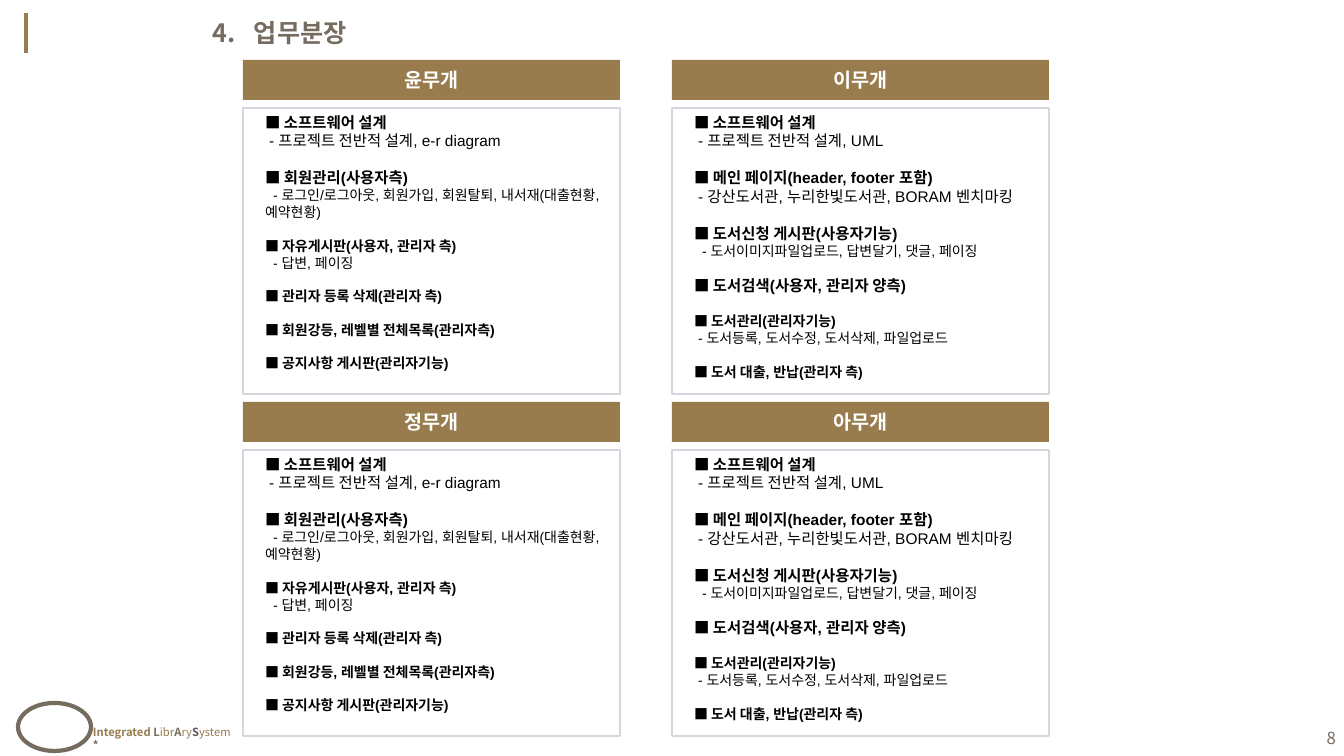
from dataclasses import dataclass

from lxml import etree
from pptx import Presentation
from pptx.dml.color import RGBColor
from pptx.enum.shapes import MSO_CONNECTOR, MSO_SHAPE
from pptx.enum.text import MSO_ANCHOR, MSO_AUTO_SIZE, PP_ALIGN
from pptx.oxml.ns import qn
from pptx.util import Emu, Pt

RECT, OVAL, STRAIGHT = MSO_SHAPE.RECTANGLE, MSO_SHAPE.OVAL, MSO_CONNECTOR.STRAIGHT
TOP, MIDDLE = MSO_ANCHOR.TOP, MSO_ANCHOR.MIDDLE
LEFT, CENTER, RIGHT = PP_ALIGN.LEFT, PP_ALIGN.CENTER, PP_ALIGN.RIGHT

TITLE = "4.\t업무분장"
PAGE = "8"

# Each group: heading, heading size, detail, detail size, detail first-line indent in px
MEMBER_TASKS = [
    ("■ 소프트웨어 설계", 11, "- 프로젝트 전반적 설계, e-r diagram", 11, 4),
    ("■ 회원관리(사용자측)", 11,
     "- 로그인/로그아웃, 회원가입, 회원탈퇴, 내서재(대출현황, 예약현황)", 10, 8),
    ("■ 자유게시판(사용자, 관리자 측)", 10, "- 답변, 페이징", 10, 8),
    ("■ 관리자 등록 삭제(관리자 측)", 10, None, 10, 0),
    ("■ 회원강등, 레벨별 전체목록(관리자측)", 10, None, 10, 0),
    ("■ 공지사항 게시판(관리자기능)", 10, None, 10, 0),
]
BOOK_TASKS = [
    ("■ 소프트웨어 설계", 11, "- 프로젝트 전반적 설계, UML", 11, 4),
    ("■ 메인 페이지(header, footer 포함)", 11,
     "- 강산도서관, 누리한빛도서관, BORAM 벤치마킹", 11, 4),
    ("■ 도서신청 게시판(사용자기능)", 11,
     "- 도서이미지파일업로드, 답변달기, 댓글, 페이징", 10, 8),
    ("■ 도서검색(사용자, 관리자 양측)", 11, None, 11, 0),
    ("■ 도서관리(관리자기능)", 10, "- 도서등록, 도서수정, 도서삭제, 파일업로드", 10, 4),
    ("■ 도서 대출, 반납(관리자 측)", 10, None, 10, 0),
]
CARDS = [("윤무개", MEMBER_TASKS), ("이무개", BOOK_TASKS),
         ("정무개", MEMBER_TASKS), ("아무개", BOOK_TASKS)]


@dataclass(frozen=True)
class Theme:
    gold: str = "987C4D"
    taupe: str = "756B5F"
    plum: str = "5F5556"
    border: str = "D6D7DE"
    white: str = "FFFFFF"
    black: str = "000000"
    korean: str = "Noto Sans CJK KR"
    latin: str = "Arial"
    title: int = 18
    name: int = 14
    page: int = 12
    footer: int = 8
    leading: float = 1.2


T = Theme()
FOOTER = [("Integrated ", T.gold, True), ("L", T.taupe, True), ("ibr", T.gold, False),
          ("A", T.taupe, True), ("ry", T.gold, False), ("S", T.plum, True),
          ("ystem ", T.gold, False), ("*", T.taupe, True)]

CARD_X, CARD_Y, CARD_W = 243, 60, 377
PITCH_X, PITCH_Y = 429, 342
NAME_H, TASKS_DY, TASKS_H = 40, 48, 286
TEXT_DX = 12
TITLE_TAB = 41


def px(n):
    return Emu(round(n * 914400 / 100.8))


def rgb(color):
    return RGBColor.from_string(color)


def place(sp, x, y, w, h):
    sp.left, sp.top, sp.width, sp.height = (px(n) for n in (x, y, w, h))


def prepare(sp, anchor=TOP):
    tf = sp.text_frame
    values = {"word_wrap": True, "auto_size": MSO_AUTO_SIZE.NONE, "vertical_anchor": anchor,
              "margin_left": px(10), "margin_right": px(10),
              "margin_top": px(5), "margin_bottom": px(5)}
    for key, value in values.items():
        setattr(tf, key, value)
    return tf


def add_run(p, text, size, color, bold=False, font=T.korean):
    r = p.add_run()
    r.text = text
    for key, value in {"name": font, "size": Pt(size), "bold": bold}.items():
        setattr(r.font, key, value)
    r.font.color.rgb = rgb(color)
    etree.SubElement(r._r.get_or_add_rPr(), qn("a:ea"), typeface=T.korean)


def set_indent(p, margin, first):
    """Set the left margin and first-line indent, and turn the inherited bullet off."""
    pPr = p._p.get_or_add_pPr()
    pPr.set("marL", str(px(margin)))
    pPr.set("indent", str(px(first)))
    etree.SubElement(pPr, qn("a:buNone"))


def add_shape(slide, kind, box, fill=None, line=None, weight=0):
    sp = slide.shapes.add_shape(kind, *(px(n) for n in box))
    sp.shadow.inherit = False
    if fill:
        sp.fill.solid()
        sp.fill.fore_color.rgb = rgb(fill)
    else:
        sp.fill.background()
    if line:
        sp.line.color.rgb = rgb(line)
        sp.line.width = Pt(weight)
    else:
        sp.line.fill.background()
    return sp


def write_tasks(sp, tasks):
    """Fill a list; the gap above each heading is one line of the text before it."""
    tf = prepare(sp)
    p, gap = tf.paragraphs[0], 0
    for heading, heading_size, detail, detail_size, indent in tasks:
        lines = [(heading, heading_size, True, 0, gap)]
        if detail:
            lines.append((detail, detail_size, False, indent, 0))
        for text, size, bold, first, before in lines:
            if p.runs:
                p = tf.add_paragraph()
            p.alignment = LEFT
            p.line_spacing = Pt(size * T.leading)
            p.space_before, p.space_after = Pt(before), Pt(0)
            set_indent(p, 0, first)
            add_run(p, text, size, T.black, bold, T.latin)
        gap = detail_size * T.leading


def add_card(slide, body, col, row, name, tasks):
    x, y = CARD_X + col * PITCH_X, CARD_Y + row * PITCH_Y
    header = add_shape(slide, RECT, (x, y, CARD_W, NAME_H), fill=T.gold)
    p = prepare(header, MIDDLE).paragraphs[0]
    p.alignment = CENTER
    add_run(p, name, T.name, T.white, True)
    add_shape(slide, RECT, (x, y + TASKS_DY, CARD_W, TASKS_H), line=T.border, weight=1.5)
    place(body, x + TEXT_DX, y + TASKS_DY, CARD_W - 4, TASKS_H)
    write_tasks(body, tasks)


def add_frame(slide):
    """Add the accent line, emblem, footer and page number."""
    accent = slide.shapes.add_connector(STRAIGHT, px(26), px(13), px(26), px(53))
    accent.line.color.rgb = rgb(T.gold)
    accent.line.width = Pt(3)
    etree.SubElement(accent._element.spPr, qn("a:effectLst"))
    add_shape(slide, OVAL, (18, 703, 73, 48), line=T.taupe, weight=3)

    footer = slide.shapes.add_textbox(px(83), px(720), px(160), px(34))
    p = prepare(footer).paragraphs[0]
    for text, color, bold in FOOTER:
        add_run(p, text, T.footer, color, bold)

    page = slide.shapes.add_textbox(px(1032), px(718), px(314), px(40))
    p = prepare(page, MIDDLE).paragraphs[0]
    p.alignment = RIGHT
    add_run(p, PAGE, T.page, T.taupe)


def main():
    prs = Presentation()
    prs.slide_width, prs.slide_height = px(1344), px(756)
    slide = prs.slides.add_slide(prs.slide_layouts.get_by_name("Comparison"))
    title, *bodies = slide.placeholders

    add_frame(slide)
    place(title, 203, 12, 324, 40)
    p = prepare(title, MIDDLE).paragraphs[0]
    p.alignment = LEFT
    set_indent(p, TITLE_TAB, -TITLE_TAB)
    add_run(p, TITLE, T.title, T.taupe, True)

    for i, (body, (name, tasks)) in enumerate(zip(bodies, CARDS)):
        row, col = divmod(i, 2)
        add_card(slide, body, col, row, name, tasks)
    prs.save("out.pptx")


if __name__ == "__main__":
    main()
